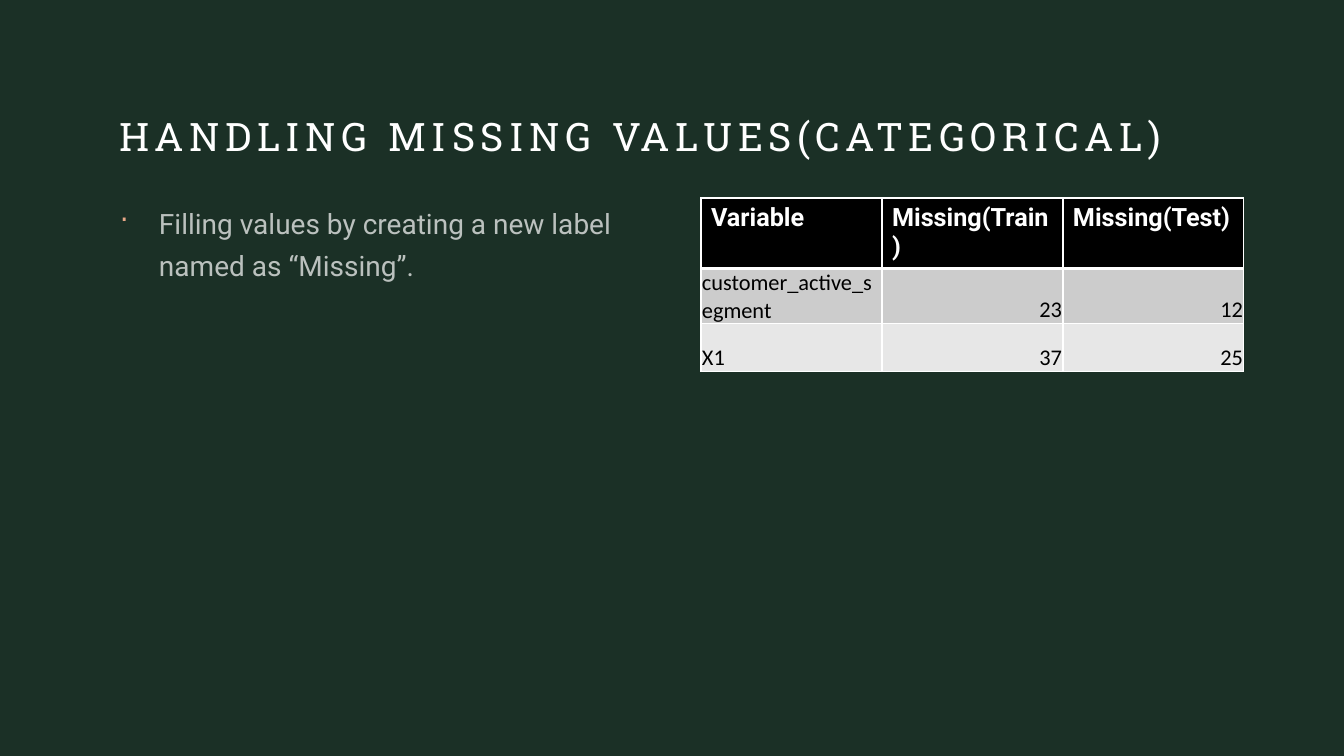
from dataclasses import dataclass

import pptx
import pptx.dml.color
import pptx.enum.text
import pptx.oxml
import pptx.oxml.ns
import pptx.util
from lxml import etree

ANCHOR = pptx.enum.text.MSO_ANCHOR
ALIGN = pptx.enum.text.PP_ALIGN
qn = pptx.oxml.ns.qn


@dataclass(frozen=True)
class Theme:
    background: str = "1B3026"
    light: str = "FFFFFF"
    dark: str = "000000"
    bullet: str = "E8A787"
    bands: tuple = ("CCCCCC", "E7E7E7")
    title_font: str = "Roboto Slab"
    body_font: str = "Roboto"
    cell_font: str = "Calibri"
    title_size: int = 28
    body_size: int = 20
    header_size: int = 18
    cell_size: int = 16


def px(length):
    return pptx.util.Emu(round(length * 914400 / 100.8))


def rgb(color):
    return pptx.dml.color.RGBColor.from_string(color)


class SlideBuilder:
    def __init__(self, presentation, theme):
        self.theme = theme
        self.slide = presentation.slides.add_slide(presentation.slide_layouts[6])
        fill = self.slide.background.fill
        fill.solid()
        fill.fore_color.rgb = rgb(theme.background)

    def add_run(self, paragraph, text, font, size, color, bold=False):
        run = paragraph.add_run()
        run.text = text
        run.font.name = font
        run.font.size = pptx.util.Pt(size)
        run.font.bold = bold
        run.font.color.rgb = rgb(color)
        return run

    def text_box(self, left, top, width, height):
        """Add a wrapping box without insets and return its first paragraph."""
        shape = self.slide.shapes.add_textbox(px(left), px(top), px(width), px(height))
        frame = shape.text_frame
        frame.word_wrap = True
        frame.margin_left = frame.margin_top = frame.margin_right = frame.margin_bottom = 0
        return frame.paragraphs[0]

    def title(self, text, *box):
        theme = self.theme
        run = self.add_run(self.text_box(*box), text, theme.title_font,
                           theme.title_size, theme.light)
        run.font._element.set("spc", "400")

    def bullet(self, text, *box):
        theme = self.theme
        paragraph = self.text_box(*box)
        paragraph.line_spacing = 1.25
        paragraph.space_before = pptx.util.Pt(10)
        properties = paragraph._p.get_or_add_pPr()
        properties.set("marL", str(px(39)))
        properties.set("indent", str(px(-39)))
        color = etree.SubElement(properties, qn("a:buClr"))
        etree.SubElement(color, qn("a:srgbClr"), val=theme.bullet)
        etree.SubElement(properties, qn("a:buChar"), char="·")
        run = self.add_run(paragraph, text, theme.body_font, theme.body_size, theme.light)
        text_color = run.font._element.find(".//" + qn("a:srgbClr"))
        etree.SubElement(text_color, qn("a:alpha"), val="70000")

    def cell_borders(self, cell, top, bottom):
        """Draw the four sides; top and bottom are widths in points."""
        properties = cell._tc.get_or_add_tcPr()
        for side, width in (("L", 1), ("R", 1), ("T", top), ("B", bottom)):
            line = etree.SubElement(properties, qn(f"a:ln{side}"),
                                    w=str(pptx.util.Pt(width)))
            fill = etree.SubElement(line, qn("a:solidFill"))
            etree.SubElement(fill, qn("a:srgbClr"), val=self.theme.light)

    def cell(self, cell, text, row, column):
        theme = self.theme
        paragraph = cell.text_frame.paragraphs[0]
        self.cell_borders(cell, 3 if row == 1 else 1, 3 if row == 0 else 1)
        cell.fill.solid()
        if row == 0:
            cell.fill.fore_color.rgb = rgb(theme.dark)
            self.add_run(paragraph, text, theme.body_font, theme.header_size,
                         theme.light, bold=True)
            return
        cell.fill.fore_color.rgb = rgb(theme.bands[(row - 1) % 2])
        cell.vertical_anchor = ANCHOR.BOTTOM
        cell.margin_left = cell.margin_top = cell.margin_right = px(1)
        cell.margin_bottom = 0
        paragraph.alignment = ALIGN.RIGHT if column else ALIGN.LEFT
        self.add_run(paragraph, text, theme.cell_font, theme.cell_size, theme.dark)

    def table(self, rows, left, top, column_width, row_height):
        count = len(rows[0])
        table = self.slide.shapes.add_table(
            len(rows), count, px(left), px(top),
            px(column_width * count), px(row_height * len(rows))).table
        table.horz_banding = False
        for row, texts in enumerate(rows):
            for column, text in enumerate(texts):
                self.cell(table.cell(row, column), text, row, column)


def main():
    presentation = pptx.Presentation()
    presentation.slide_width, presentation.slide_height = px(1344), px(756)
    builder = SlideBuilder(presentation, Theme())
    builder.title("HANDLING MISSING VALUES(CATEGORICAL)", 119, 112, 1106, 73)
    builder.bullet("Filling values by creating a new label named as “Missing”.",
                   120, 198, 522, 438)
    builder.table([
        ("Variable", "Missing(Train)", "Missing(Test)"),
        ("customer_active_segment", "23", "12"),
        ("X1", "37", "25"),
    ], left=701, top=198, column_width=181, row_height=48)
    presentation.save("out.pptx")


if __name__ == "__main__":
    main()
